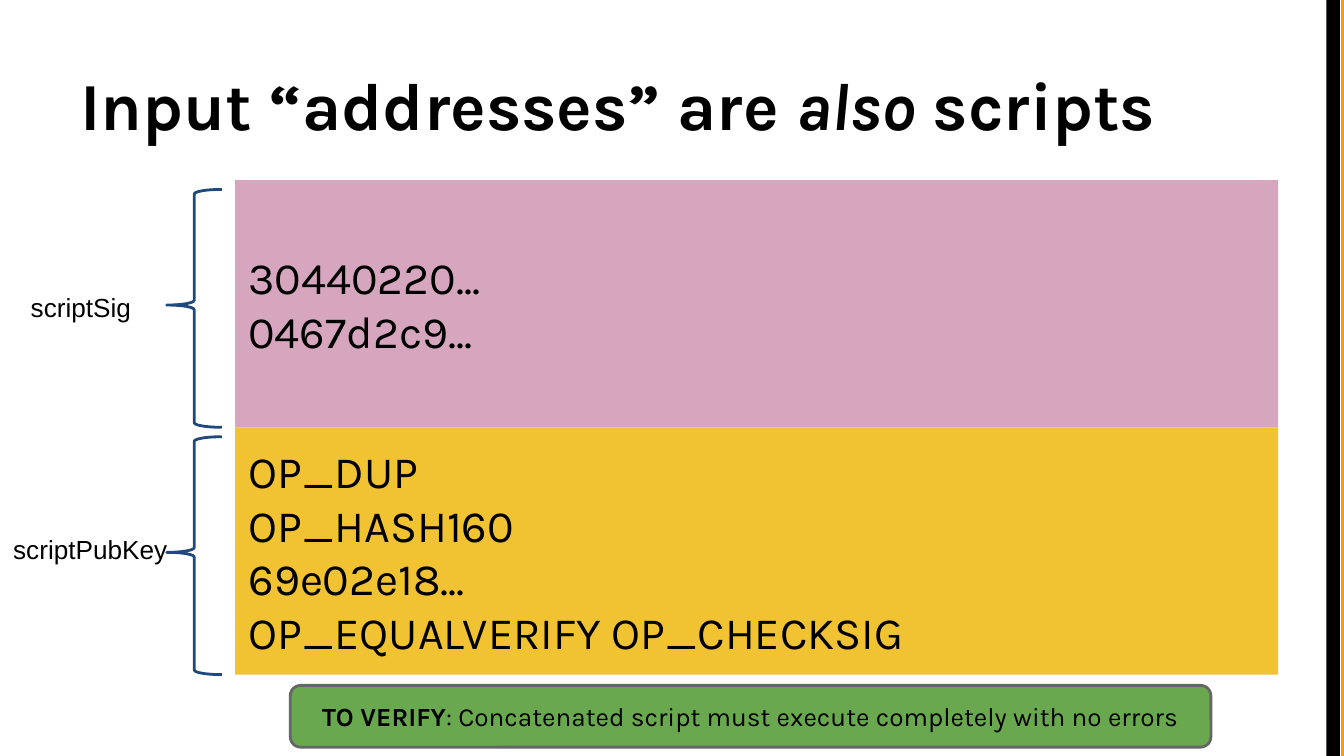
from pptx import Presentation
from pptx.dml.color import RGBColor
from pptx.enum.shapes import MSO_SHAPE as Preset
from pptx.enum.text import MSO_ANCHOR as Anchor, PP_ALIGN as Align
from pptx.util import Inches, Pt

SLIDE_WIDTH = 10
SLIDE_HEIGHT = SLIDE_WIDTH * 9 / 16
STRIPES = [(9.98, "FF9900"), (9.87, "000000")]
TITLE = [[("Input “addresses” are ", "b"), ("also", "bi"), (" scripts", "b")]]
SCRIPTS = [
    {"label": "scriptSig", "label_box": (0.13, 2.07, 1.01, 0.46), "fill": "D5A6BD",
     "lines": ["30440220...", "0467d2c9..."]},
    {"label": "scriptPubKey", "label_box": (0, 3.87, 1.46, 0.46), "fill": "F1C232",
     "lines": ["OP_DUP", "OP_HASH160", "69e02e18...", "OP_EQUALVERIFY OP_CHECKSIG"]},
]
VERIFY = [[("TO VERIFY", "b"),
           (": Concatenated script must execute completely with no errors", "")]]
BLOCK_LEFT, BLOCK_TOP, BLOCK_WIDTH, BLOCK_HEIGHT = 1.75, 1.34, 7.76, 1.84
BRACE_LEFT, BRACE_OFFSET, BRACE_WIDTH, BRACE_HEIGHT = 1.24, 0.07, 0.41, 1.77


def color(value):
    return RGBColor.from_string(value)


def add_shape(preset, box, fill=None, line=None, adjustments=()):
    shape = slide.shapes.add_shape(preset, *map(Inches, box))
    shape.shadow.inherit = False
    for index, value in enumerate(adjustments):
        shape.adjustments[index] = value
    if fill:
        shape.fill.solid()
        shape.fill.fore_color.rgb = color(fill)
    else:
        shape.fill.background()
    if line:
        shape.line.color.rgb = color(line)
        shape.line.width = Pt(1.5)
    else:
        shape.line.fill.background()
    return shape


def write(shape, paragraphs, size, font="Karla", anchor=Anchor.MIDDLE, align=Align.LEFT):
    frame = shape.text_frame
    frame.word_wrap = True
    frame.vertical_anchor = anchor
    frame.margin_left = frame.margin_right = Inches(0.1)
    frame.margin_top = frame.margin_bottom = Inches(0.1)
    for index, runs in enumerate(paragraphs):
        paragraph = frame.add_paragraph() if index else frame.paragraphs[0]
        paragraph.alignment = align
        for text, style in runs:
            run = paragraph.add_run()
            run.text = text
            run.font.name = font
            run.font.size = Pt(size)
            run.font.bold = "b" in style
            run.font.italic = "i" in style
            run.font.color.rgb = color("000000")


def add_text(box, paragraphs, size, **options):
    write(slide.shapes.add_textbox(*map(Inches, box)), paragraphs, size, **options)


presentation = Presentation()
presentation.slide_width = Inches(SLIDE_WIDTH)
presentation.slide_height = Inches(SLIDE_HEIGHT)
slide = presentation.slides.add_slide(presentation.slide_layouts[6])

for left, fill in STRIPES:
    add_shape(Preset.RECTANGLE, (left, 0, 0.1, SLIDE_HEIGHT), fill)

add_text((0.5, 0.23, 9.24, 0.94), TITLE, 36, anchor=Anchor.BOTTOM)

for index, script in enumerate(SCRIPTS):
    top = BLOCK_TOP + index * BLOCK_HEIGHT
    block = add_shape(Preset.RECTANGLE, (BLOCK_LEFT, top, BLOCK_WIDTH, BLOCK_HEIGHT),
                      script["fill"])
    write(block, [[(line, "")] for line in script["lines"]], 24)
    add_shape(Preset.LEFT_BRACE,
              (BRACE_LEFT, top + BRACE_OFFSET, BRACE_WIDTH, BRACE_HEIGHT),
              line="1F497D", adjustments=(0.083, 0.486))
    add_text(script["label_box"], [[(script["label"], "")]], 14,
             font="Arial", anchor=Anchor.TOP)

verify = add_shape(Preset.ROUNDED_RECTANGLE, (2.16, 5.1, 6.85, 0.46),
                   "6AA84F", "666666", (0.167,))
write(verify, VERIFY, 14, align=Align.CENTER)

presentation.save("out.pptx")
